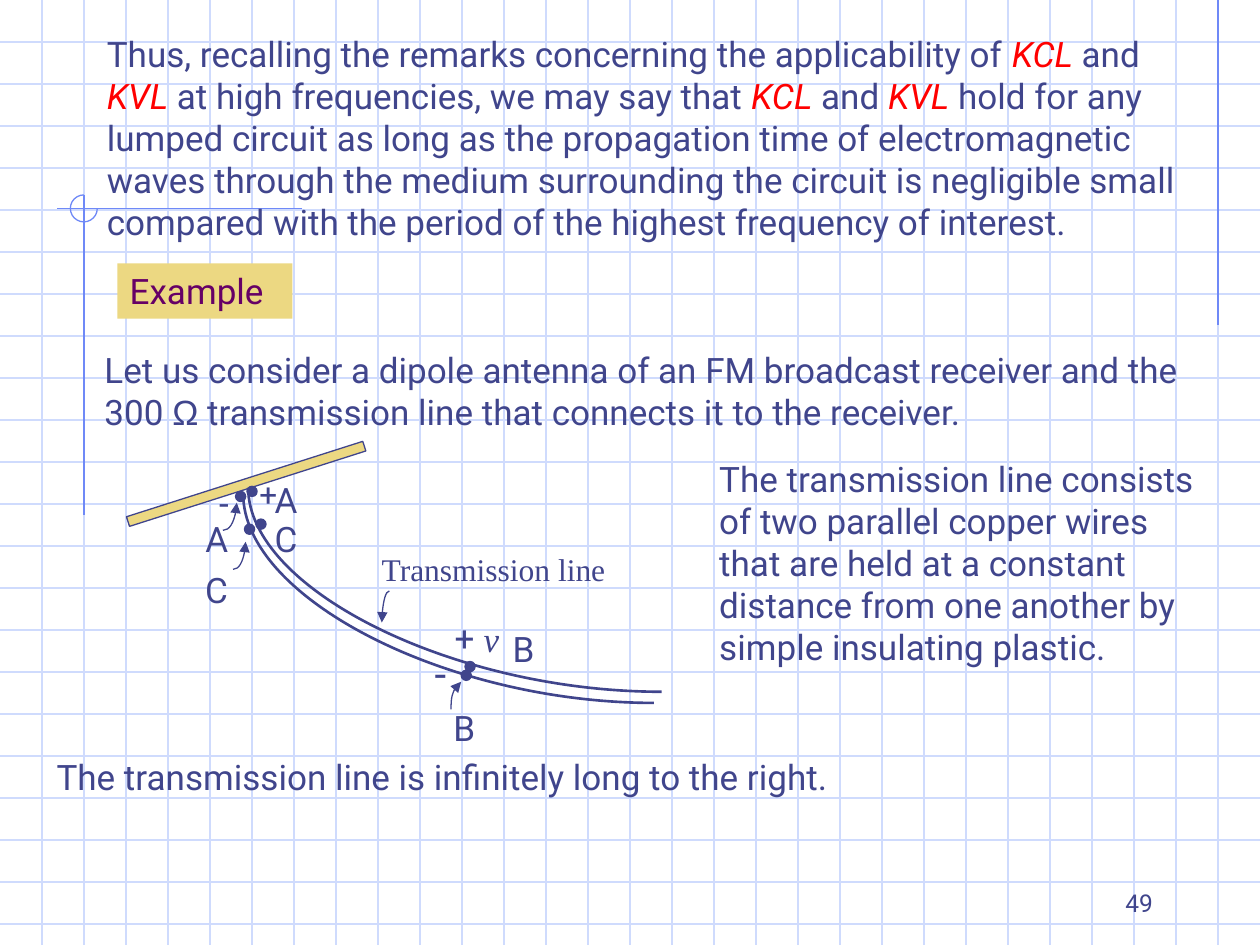
from lxml.etree import SubElement
from pptx import Presentation
from pptx.dml.color import RGBColor
from pptx.enum.shapes import MSO_CONNECTOR as Connector, MSO_SHAPE as Shape
from pptx.enum.text import MSO_ANCHOR as Anchor, MSO_AUTO_SIZE as AutoSize, PP_ALIGN as Align
from pptx.oxml.ns import qn
from pptx.util import Pt

WIDTH, HEIGHT, GRID = 720, 540, 24
COLORS = {"grid": "CFDBFD", "accent": "6F89F7", "ink": "40458C",
          "gold": "ECD882", "law": "FF0000", "heading": "660066"}
LAW = {"color": "law", "italic": True}
SERIF = "Times New Roman"


def rgb(name):
    return RGBColor.from_string(COLORS[name])


def points(*values):
    return [Pt(value) for value in values]


def add_text(slide, box, runs, wrap=True, fill=None, anchor=Anchor.TOP,
             align=Align.LEFT, **base):
    """Add a text box; runs is a string or a list of (text, format) pairs."""
    shape = slide.shapes.add_textbox(*points(*box))
    if fill:
        shape.fill.solid()
        shape.fill.fore_color.rgb = rgb(fill)
    frame = shape.text_frame
    settings = {"word_wrap": wrap, "vertical_anchor": anchor,
                "auto_size": AutoSize.NONE if anchor == Anchor.BOTTOM
                else AutoSize.SHAPE_TO_FIT_TEXT}
    for name, value in settings.items():
        setattr(frame, name, value)
    paragraph = frame.paragraphs[0]
    paragraph.alignment = align
    for text, changes in [(runs, {})] if isinstance(runs, str) else runs:
        style = {"size": 20, "name": "Roboto", "color": "ink", "italic": False,
                 **base, **changes}
        run = paragraph.add_run()
        run.text = text
        run.font.color.rgb = rgb(style.pop("color"))
        style["size"] = Pt(style["size"])
        for name, value in style.items():
            setattr(run.font, name, value)


def add_line(slide, start, end, color, width=0.75, kind=Connector.STRAIGHT):
    line = slide.shapes.add_connector(kind, *points(*start, *end))
    line.line.color.rgb = rgb(color)
    line.line.width = Pt(width)
    SubElement(line._element.spPr, qn("a:effectLst"))
    return line


def add_curve(slide, box, rotation=0, flips="", width=0.75, arrow=False):
    """Add a quarter-bend connector in an unrotated box, then flip and turn it."""
    left, top, wide, high = box
    xs, ys = [left, left + wide], [top, top + high]
    if "h" in flips:
        xs.reverse()
    if "v" in flips:
        ys.reverse()
    curve = add_line(slide, (xs[0], ys[0]), (xs[1], ys[1]), "ink", width, Connector.CURVE)
    properties = curve._element.spPr
    properties.find(qn("a:prstGeom")).set("prst", "curvedConnector2")
    if rotation:
        properties.find(qn("a:xfrm")).set("rot", str(rotation * 60000))
    if arrow:
        SubElement(properties.find(qn("a:ln")), qn("a:tailEnd"), type="triangle")


def add_figure(slide, kind, box, fill=None, line="ink", rotation=0):
    shape = slide.shapes.add_shape(kind, *points(*box))
    shape.shadow.inherit = False
    shape.rotation = rotation
    if fill:
        shape.fill.solid()
        shape.fill.fore_color.rgb = rgb(fill)
    else:
        shape.fill.background()
    shape.line.color.rgb = rgb(line)
    shape.line.width = Pt(0.75)
    return shape


def draw_background(slide):
    # Graph paper
    for y in range(GRID, HEIGHT, GRID):
        add_line(slide, (0, y), (WIDTH, y), "grid")
    for x in range(GRID, WIDTH, GRID):
        add_line(slide, (x, 0), (x, HEIGHT), "grid")
    # Accent lines and the open circle where two of them cross
    for start, end in [((696, 0), (696, 185.8)), ((172.8, 119.2), (32.4, 119.2)),
                       ((48, 111.6), (48, 294.5))]:
        add_line(slide, start, end, "accent")
    arc = add_figure(slide, Shape.ARC, (40.2, 111.4, 15.4, 15.4), line="accent")
    arc.adjustments[0] = 0
    arc.adjustments[1] = 162  # 270 degrees


def draw_antenna(slide):
    # Dipole and the two wires
    add_figure(slide, Shape.RECTANGLE, (69.8, 273.6, 141.8, 5.8), "gold", rotation=342.3)
    for box in [(201.6, 218.9, 116.6, 236.2), (196.6, 224.6, 119.5, 234.7)]:
        add_curve(slide, box, 270, "h", width=1.5)
    # Terminals
    for left, top in [(263.5, 383), (265.7, 378), (134.6, 280.8),
                      (141.1, 277.9), (139.7, 299.5), (146.2, 296.6)]:
        add_figure(slide, Shape.OVAL, (left, top, 5.8, 5.8), "ink")
    # Pointers
    for box, rotation, flips in [((218.2, 337.7, 4.3, 18), 180, "v"),
                                 ((252.7, 394.6, 15.8, 5.8), 90, "hv"),
                                 ((127.4, 287.3, 7.9, 15.8), 0, "v"),
                                 ((133.2, 309.6, 7.2, 15.8), 0, "v")]:
        add_curve(slide, box, rotation, flips, arrow=True)
    # Labels
    for text, left, top, width in [("B", 252, 400.3, 27.4), ("B", 285.8, 355, 27.4),
                                   ("A", 110.2, 292.3, 27.4), ("A", 149.8, 270, 27.4),
                                   ("C", 110.2, 321.1, 26.6), ("C", 149.8, 292.3, 26.6),
                                   ("+", 252.7, 348.5, 25.9), ("-", 118.1, 271.4, 20.9)]:
        add_text(slide, (left, top, width, 31.7), text, wrap=False)
    add_text(slide, (241.2, 366.5, 22.3, 36), "-", wrap=False, size=24)
    add_text(slide, (141.1, 267.8, 24.5, 28.8), "+", wrap=False, size=18)
    add_text(slide, (269.3, 349.2, 33.8, 31.7), "v", name=SERIF, italic=True)
    add_text(slide, (211, 311, 142.6, 28.8), "Transmission line", wrap=False,
             name=SERIF, size=18)


def draw_text(slide):
    add_text(slide, (54, 15.1, 640.8, 151.2), [
        ("Thus, recalling the remarks concerning the applicability of ", {}),
        ("KCL", LAW), (" and ", {}), ("KVL", LAW),
        (" at high frequencies, we may say that ", {}),
        ("KCL", LAW), (" and ", {}), ("KVL", LAW),
        (" hold for any lumped circuit as long as the propagation time of "
         "electromagnetic waves through the medium surrounding the circuit is "
         "negligible small compared with the period of the highest frequency "
         "of interest.", {})])
    add_text(slide, (67, 150.5, 100.1, 31.7), "Example", wrap=False,
             fill="gold", color="heading")
    add_text(slide, (52.6, 195.8, 642.2, 55.4), [
        ("Let us consider a dipole antenna of an FM broadcast receiver and the 300 ", {}),
        ("Ω", {"name": "Arial"}),
        (" transmission line that connects it to the receiver.", {})])
    add_text(slide, (403.9, 257.8, 296.6, 127.4),
             "The transmission line consists of two parallel copper wires that are held "
             "at a constant distance from one another by simple insulating plastic.")
    add_text(slide, (25.2, 428.4, 459.4, 55.4),
             "The transmission line is infinitely long to the right.")
    # Page number
    add_text(slide, (516.2, 491.8, 149.8, 36), "49", anchor=Anchor.BOTTOM,
             align=Align.RIGHT, size=14)


def main():
    presentation = Presentation()
    presentation.slide_width, presentation.slide_height = points(WIDTH, HEIGHT)
    slide = presentation.slides.add_slide(presentation.slide_layouts[6])
    draw_background(slide)
    draw_text(slide)
    draw_antenna(slide)
    presentation.save("out.pptx")


if __name__ == "__main__":
    main()
